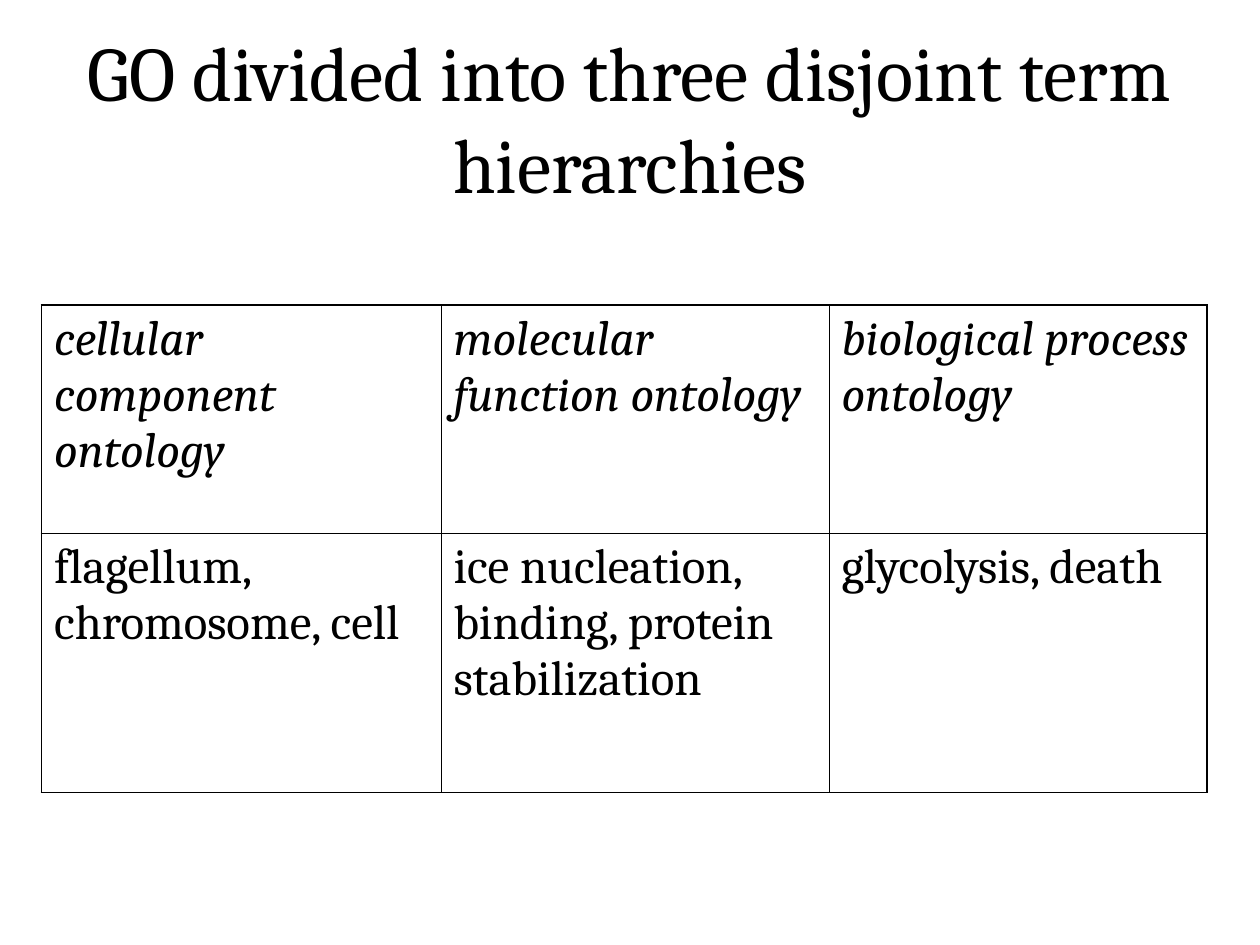
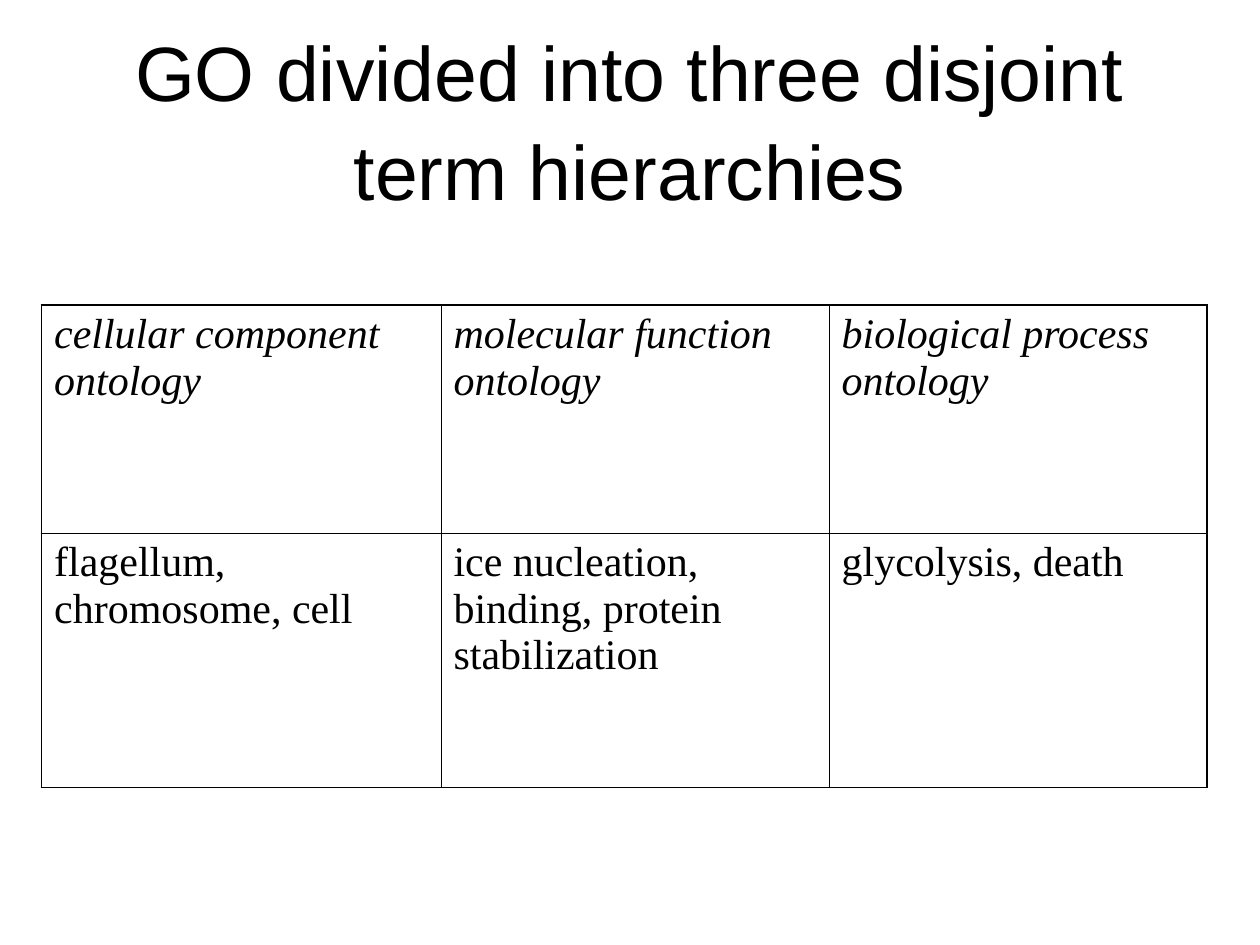
from pptx import Presentation
from pptx.dml.color import RGBColor
from pptx.enum.text import MSO_ANCHOR, PP_ALIGN
from pptx.oxml import parse_xml
from pptx.oxml.ns import nsdecls
from pptx.util import Inches, Pt

BLACK = RGBColor(0x00, 0x00, 0x00)
WHITE = RGBColor(0xFF, 0xFF, 0xFF)
OUTER, INNER = Pt(1.08), Pt(0.45)

TITLE = "GO divided into three disjoint term hierarchies"
ROWS = [
    ["cellular component ontology", "molecular function ontology",
     "biological process ontology"],
    ["flagellum, chromosome, cell",
     "ice nucleation, binding, protein stabilization", "glycolysis, death"],
]
COL_WIDTHS = [3.17, 3.08, 3]
HEADER_HEIGHT = 1.81

# title font, title line spacing, table font, table size, example row height
VERSIONS = [
    ("Cambria", 1.0, "Cambria", 28, 2.06),
    ("Arial", 1.07, "Times New Roman", 24, 2.02),
]


def write(tf, text, font, size, italic=False, align=PP_ALIGN.LEFT, spacing=1.0):
    tf.word_wrap = True
    p = tf.paragraphs[0]
    p.alignment = align
    p.line_spacing = spacing
    r = p.add_run()
    r.text = text
    r.font.name = font
    r.font.size = Pt(size)
    r.font.italic = italic
    r.font.color.rgb = BLACK


def add_borders(cell, **widths):
    """Add solid borders; widths are keyed by side in the order L, R, T, B."""
    tcPr = cell._tc.get_or_add_tcPr()
    for side, width in widths.items():
        tcPr.append(parse_xml(
            f'<a:ln{side} {nsdecls("a")} w="{int(width)}"><a:solidFill>'
            f'<a:srgbClr val="{BLACK}"/></a:solidFill></a:ln{side}>'))


prs = Presentation()
prs.slide_width, prs.slide_height = Inches(10), Inches(7.5)

for title_font, title_spacing, table_font, table_size, example_height in VERSIONS:
    s = prs.slides.add_slide(prs.slide_layouts[6])
    s.background.fill.solid()
    s.background.fill.fore_color.rgb = WHITE

    title = s.shapes.add_textbox(Inches(0.5), Inches(0.3), Inches(9), Inches(1.25))
    title.text_frame.vertical_anchor = MSO_ANCHOR.MIDDLE
    write(title.text_frame, TITLE, title_font, 44,
          align=PP_ALIGN.CENTER, spacing=title_spacing)

    row_heights = [HEADER_HEIGHT, example_height]
    table = s.shapes.add_table(
        len(ROWS), len(COL_WIDTHS), Inches(0.33), Inches(2.42),
        Inches(sum(COL_WIDTHS)), Inches(sum(row_heights))).table
    table.first_row = table.horz_banding = False
    for column, width in zip(table.columns, COL_WIDTHS):
        column.width = Inches(width)

    last_row, last_col = len(ROWS) - 1, len(COL_WIDTHS) - 1
    for i, texts in enumerate(ROWS):
        table.rows[i].height = Inches(row_heights[i])
        for j, text in enumerate(texts):
            cell = table.cell(i, j)
            write(cell.text_frame, text, table_font, table_size, italic=i == 0)
            add_borders(cell,
                        L=OUTER if j == 0 else INNER,
                        R=OUTER if j == last_col else INNER,
                        T=OUTER if i == 0 else INNER,
                        B=OUTER if i == last_row else INNER)
            cell.fill.background()

prs.save("out.pptx")
